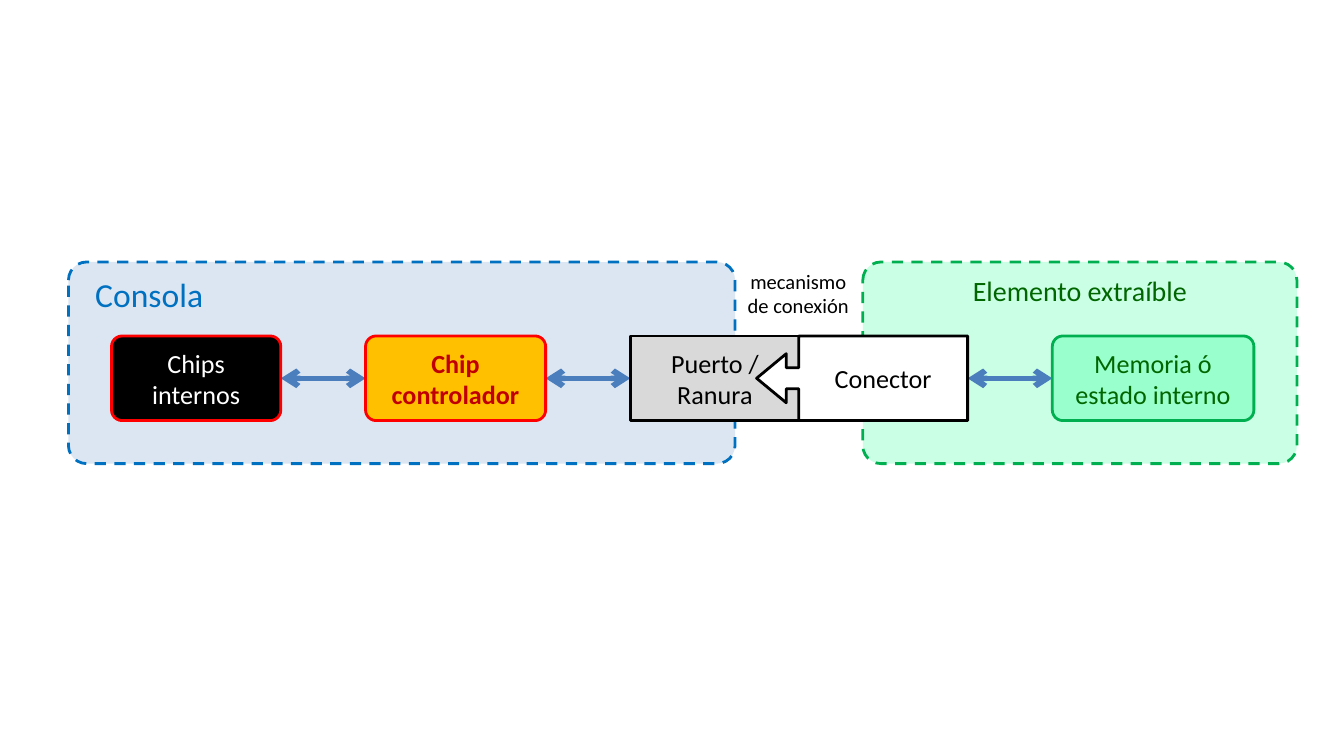
from lxml import etree
from pptx import Presentation
from pptx.dml.color import RGBColor
from pptx.enum.dml import MSO_LINE
from pptx.enum.shapes import MSO_CONNECTOR, MSO_SHAPE
from pptx.enum.text import MSO_ANCHOR, PP_ALIGN
from pptx.oxml.ns import qn
from pptx.util import Inches, Pt

ROUND, CALLOUT = MSO_SHAPE.ROUNDED_RECTANGLE, MSO_SHAPE.LEFT_ARROW_CALLOUT
STRAIGHT, DASH = MSO_CONNECTOR.STRAIGHT, MSO_LINE.DASH
LEFT, CENTER = PP_ALIGN.LEFT, PP_ALIGN.CENTER
TOP, MIDDLE = MSO_ANCHOR.TOP, MSO_ANCHOR.MIDDLE

BLACK = RGBColor(0x00, 0x00, 0x00)
WHITE = RGBColor(0xFF, 0xFF, 0xFF)
GRAY = RGBColor(0xD9, 0xD9, 0xD9)
RED = RGBColor(0xFF, 0x00, 0x00)
DARK_RED = RGBColor(0xC0, 0x00, 0x00)
AMBER = RGBColor(0xFF, 0xC0, 0x00)
BLUE = RGBColor(0x00, 0x70, 0xC0)
PALE_BLUE = RGBColor(0xDC, 0xE6, 0xF2)
ARROW_BLUE = RGBColor(0x4B, 0x7E, 0xBC)
GREEN = RGBColor(0x00, 0xB0, 0x50)
DARK_GREEN = RGBColor(0x00, 0x66, 0x00)
MINT = RGBColor(0x99, 0xFF, 0xCC)

# Content: zones hold the blocks, blocks stand in one row
ZONE_TOP, ZONE_HEIGHT = 1.95, 1.5
ROW_TOP, ROW_HEIGHT = 2.5, 0.63
ARROW_LENGTH = 0.63

# text, left, width, fill, line, text colour, size, alignment, left margin, opacity %
ZONES = [
    ("Consola", 0.51, 4.96, PALE_BLUE, BLUE, BLUE, 18, LEFT, 0.16, 100),
    ("Elemento extraíble", 6.42, 3.23, MINT, GREEN, DARK_GREEN, 15, CENTER, 0.1, 50),
]
# text, left, width, preset, adjustments, fill, line, text colour, bold
BLOCKS = [
    ("Chips internos", 0.83, 1.26, ROUND, [0.125], BLACK, RED, WHITE, False),
    ("Chip controlador", 2.72, 1.34, ROUND, [0.125], AMBER, RED, DARK_RED, True),
    ("Memoria ó estado interno", 7.83, 1.5, ROUND, [0.125], MINT, GREEN, DARK_GREEN, False),
    ("Puerto /\nRanura", 4.69, 1.26, ROUND, [0], GRAY, BLACK, BLACK, False),
    ("Conector", 5.63, 1.57, CALLOUT, [0.25, 0.29, 0.35, 0.8], WHITE, BLACK, BLACK, False),
]
ARROW_STARTS = [2.09, 4.06, 7.2]

# Widescreen page, 16:9
deck = Presentation()
deck.slide_width = Inches(10)
deck.slide_height = Inches(10 * 9 / 16)
page = deck.slides.add_slide(deck.slide_layouts[6])


def write(box, text, size, color, align=CENTER, anchor=MIDDLE, bold=False):
    frame = box.text_frame
    frame.word_wrap = True
    frame.vertical_anchor = anchor
    frame.text = text
    for para in frame.paragraphs:
        para.alignment = align
        para.font.name = "Calibri"
        para.font.size = Pt(size)
        para.font.bold = bold
        para.font.color.rgb = color


def add_box(preset, left, top, width, height, adjustments, fill, line):
    box = page.shapes.add_shape(preset, Inches(left), Inches(top), Inches(width), Inches(height))
    for index, value in enumerate(adjustments):
        box.adjustments[index] = value
    box.shadow.inherit = False
    box.fill.solid()
    box.fill.fore_color.rgb = fill
    box.line.color.rgb = line
    box.line.width = Pt(1.5)
    return box


# Dashed zones
for text, left, width, fill, line, color, size, align, margin, opacity in ZONES:
    zone = add_box(ROUND, left, ZONE_TOP, width, ZONE_HEIGHT, [0.09], fill, line)
    zone.line.dash_style = DASH
    write(zone, text, size, color, align, TOP)
    zone.text_frame.margin_left = Inches(margin)
    if opacity < 100:
        tint = zone.element.spPr.find(qn("a:solidFill"))[0]
        etree.SubElement(tint, qn("a:alpha"), val=str(opacity * 1000))

# Double arrows between blocks
middle = Inches(ROW_TOP + ROW_HEIGHT / 2)
for start in ARROW_STARTS:
    arrow = page.shapes.add_connector(
        STRAIGHT, Inches(start), middle, Inches(start + ARROW_LENGTH), middle)
    arrow.line.color.rgb = ARROW_BLUE
    arrow.line.width = Pt(3)
    properties = arrow.element.spPr
    for end in ("a:headEnd", "a:tailEnd"):
        etree.SubElement(properties.find(qn("a:ln")), qn(end), type="arrow")
    etree.SubElement(properties, qn("a:effectLst"))

# Connection label
label = page.shapes.add_textbox(Inches(5.39), Inches(ZONE_TOP), Inches(1.1), Inches(0.47))
write(label, "mecanismo\nde conexión", 11, BLACK, anchor=TOP)

# Row of blocks
for text, left, width, preset, adjustments, fill, line, color, bold in BLOCKS:
    block = add_box(preset, left, ROW_TOP, width, ROW_HEIGHT, adjustments, fill, line)
    write(block, text, 14, color, bold=bold)

deck.save("out.pptx")
